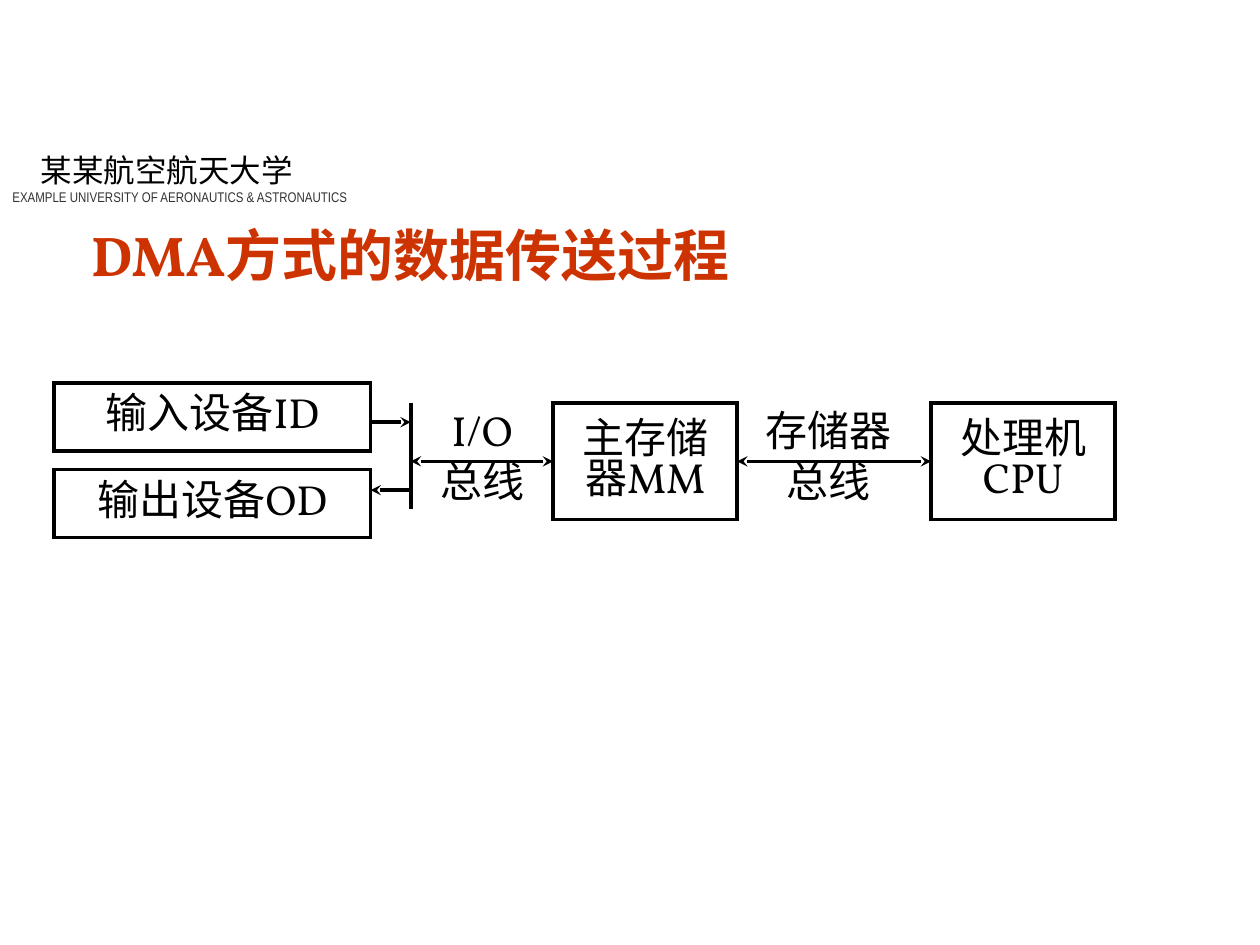
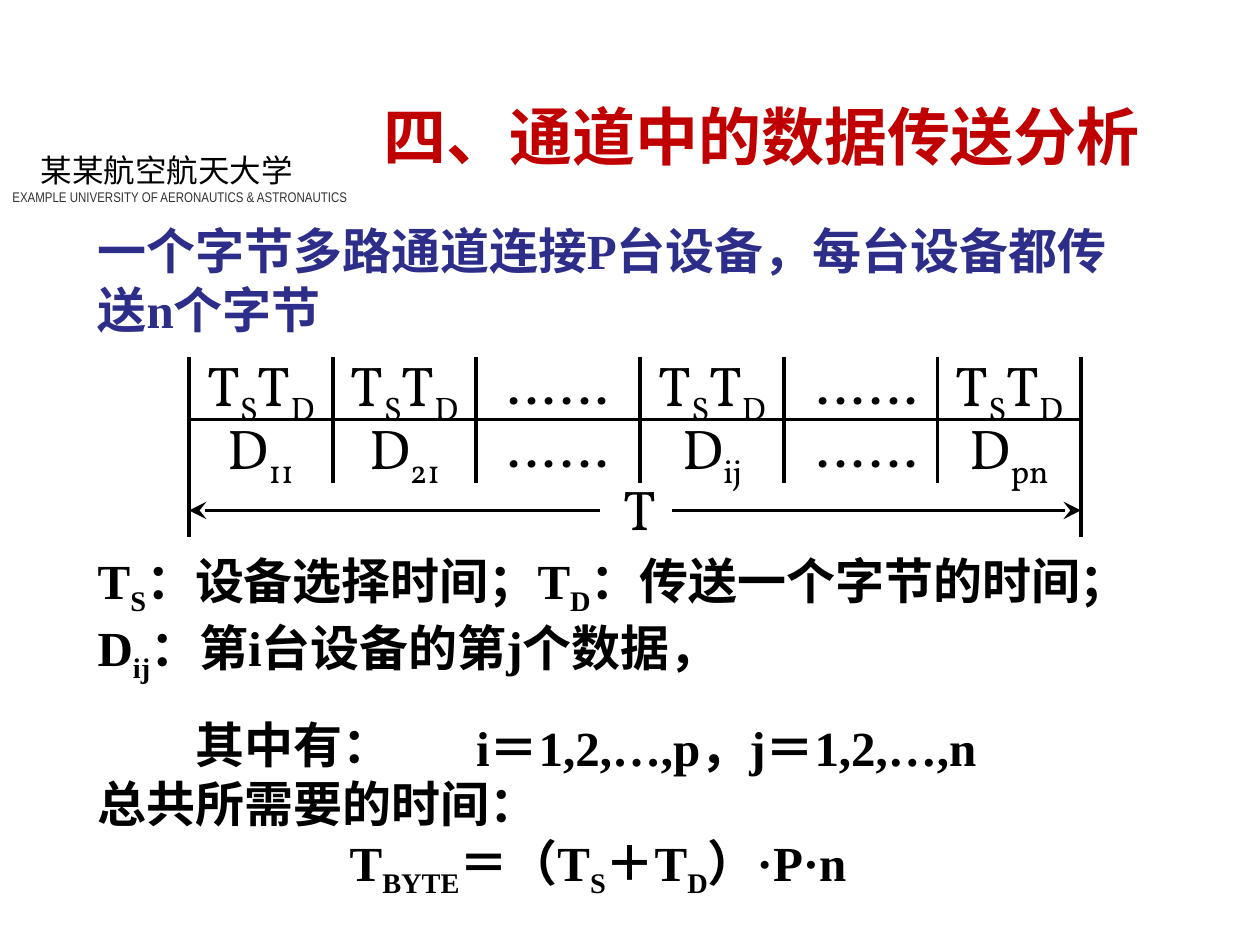
from lxml import etree
from pptx import Presentation
from pptx.dml.color import RGBColor
from pptx.enum.shapes import MSO_CONNECTOR, MSO_SHAPE
from pptx.enum.text import MSO_ANCHOR, PP_ALIGN
from pptx.oxml.ns import qn
from pptx.util import Cm, Pt

STRAIGHT = MSO_CONNECTOR.STRAIGHT
RECTANGLE = MSO_SHAPE.RECTANGLE
TOP, MIDDLE = MSO_ANCHOR.TOP, MSO_ANCHOR.MIDDLE
LEFT, CENTER = PP_ALIGN.LEFT, PP_ALIGN.CENTER
LEFT_SIDE, RIGHT_SIDE = 1, 3

COLORS = {
    "ink": "000000",
    "grey": "333333",
    "orange": "CC3300",
    "red": "C00000",
    "blue": "2D2D8A",
}
DIAGRAM_FONT = "Vollkorn"
BODY_FONT = "Times New Roman"


def write(paragraph, text, *, size, font=DIAGRAM_FONT, color="ink", bold=False,
          align=LEFT, line_spacing=None, space_before=0, margin=0, indent=0):
    """Fill a paragraph; parts between tildes are subscripts, \\v breaks a line."""
    paragraph.alignment = align
    paragraph.space_before = Pt(space_before)
    if line_spacing:
        paragraph.line_spacing = line_spacing
    properties = paragraph._p.get_or_add_pPr()
    properties.set("marL", str(Cm(margin)))
    properties.set("indent", str(Cm(indent)))
    for line_number, line in enumerate(text.split("\v")):
        if line_number:
            paragraph.add_line_break()
        for part_number, part in enumerate(line.split("~")):
            if not part:
                continue
            run = paragraph.add_run()
            run.text = part
            run.font.size = Pt(size)
            run.font.name = font
            run.font.bold = bold
            run.font.color.rgb = RGBColor.from_string(COLORS[color])
            if part_number % 2:
                run._r.get_or_add_rPr().set("baseline", "-25000")


class Deck:
    """Holds the shared style and the slide being built."""

    line_width = Pt(2)

    def __init__(self):
        self.presentation = Presentation()
        self.presentation.slide_width = Cm(25.4)
        self.presentation.slide_height = Cm(19.05)
        self.slide = None

    def new_slide(self):
        self.slide = self.presentation.slides.add_slide(self.presentation.slide_layouts[6])
        self.text(0, 2.92, 7.7, 1.7, [
            ("某某航空航天大学", dict(size=18, font="Arial", margin=0.57)),
            ("EXAMPLE UNIVERSITY OF AERONAUTICS & ASTRONAUTICS",
             dict(size=8, font="Arial Narrow", color="grey")),
        ])

    def fill_frame(self, shape, paragraphs, anchor, wrap, inset):
        frame = shape.text_frame
        frame.word_wrap = wrap
        frame.vertical_anchor = anchor
        frame.margin_left = frame.margin_right = Cm(inset)
        frame.margin_top = frame.margin_bottom = Cm(inset / 2)
        for number, (text, style) in enumerate(paragraphs):
            paragraph = frame.add_paragraph() if number else frame.paragraphs[0]
            write(paragraph, text, **style)

    def text(self, left, top, width, height, paragraphs, anchor=TOP, wrap=True, inset=0.25):
        shape = self.slide.shapes.add_textbox(Cm(left), Cm(top), Cm(width), Cm(height))
        self.fill_frame(shape, paragraphs, anchor, wrap, inset)

    def title(self, left, top, width, height, text, **style):
        self.text(left, top, width, height,
                  [(text, dict(bold=True, align=CENTER, **style))], anchor=MIDDLE)

    def label(self, left, top, width, height, text, **style):
        self.text(left, top, width, height, [(text, dict(align=CENTER, **style))],
                  anchor=MIDDLE, wrap=False, inset=0)

    def box(self, left, top, width, height, text):
        shape = self.slide.shapes.add_shape(RECTANGLE, Cm(left), Cm(top), Cm(width), Cm(height))
        shape.shadow.inherit = False
        shape.fill.background()
        shape.line.color.rgb = RGBColor.from_string(COLORS["ink"])
        shape.line.width = self.line_width
        etree.SubElement(shape.line._get_or_add_ln(), qn("a:miter"), lim="800000")
        style = dict(size=24, align=CENTER, line_spacing=0.8)
        self.fill_frame(shape, [(text, style)], MIDDLE, False, 0.2)
        return shape

    def line(self, start_x, start_y, end_x, end_y, head=False, tail=False, arrow="med"):
        connector = self.slide.shapes.add_connector(
            STRAIGHT, Cm(start_x), Cm(start_y), Cm(end_x), Cm(end_y))
        connector.line.color.rgb = RGBColor.from_string(COLORS["ink"])
        connector.line.width = self.line_width
        outline = connector.line._get_or_add_ln()
        for tag, wanted in (("a:headEnd", head), ("a:tailEnd", tail)):
            if wanted:
                etree.SubElement(outline, qn(tag), type="stealth", w=arrow, len=arrow)
        etree.SubElement(connector._element.spPr, qn("a:effectLst"))
        return connector


def build_dma_slide(deck):
    deck.new_slide()
    deck.title(-1.12, 3.86, 18.8, 2.54, "DMA方式的数据传送过程",
               size=32, font=DIAGRAM_FONT, color="orange")

    # Devices, memory and processor
    device_left, device_width = 1.09, 6.38
    for top, name in ((7.72, "输入设备ID"), (9.47, "输出设备OD")):
        deck.box(device_left, top, device_width, 1.37, name)
    unit_top, unit_width, unit_height = 8.13, 3.71, 2.34
    memory_left, processor_left = 11.15, 18.77
    processor = deck.box(processor_left, unit_top, unit_width, unit_height, "处理机\vCPU")
    memory = deck.box(memory_left, unit_top, unit_width, unit_height, "主存储\v器MM")

    # Buses
    device_right, bus_x = device_left + device_width, 8.28
    bus_y = unit_top + unit_height / 2
    deck.line(device_right, 8.51, bus_x, 8.51, tail=True)
    deck.line(bus_x, 9.88, device_right, 9.88, tail=True)
    deck.line(bus_x, 10.26, bus_x, unit_top)
    io_bus = deck.line(memory_left, bus_y, bus_x, bus_y, head=True, tail=True)
    io_bus.begin_connect(memory, LEFT_SIDE)
    memory_bus = deck.line(processor_left, bus_y, memory_left + unit_width, bus_y,
                           head=True, tail=True)
    memory_bus.begin_connect(processor, LEFT_SIDE)
    memory_bus.end_connect(memory, RIGHT_SIDE)
    for left, name in ((8.22, "I/O\v总线"), (15.2, "存储器\v总线")):
        deck.label(left, 7.92, 3, 2.51, name, size=24)


def build_channel_slide(deck):
    deck.new_slide()
    deck.title(5.49, 1.14, 19.71, 3.18, "四、通道中的数据传送分析",
               size=36, font="Arial", color="red")

    # Explanations above and below the time diagram
    body = dict(size=28, font=BODY_FONT, bold=True)
    deck.text(1.72, 4.32, 21.8, 2.6, [
        ("一个字节多路通道连接P台设备，每台设备都传送n个字节", dict(body, color="blue")),
    ])
    deck.text(1.72, 10.97, 20.9, 7.4, [
        ("T~S~：设备选择时间；T~D~：传送一个字节的时间；D~ij~：第i台设备的第j个数据，", body),
        ("其中有：", dict(body, space_before=17.5, indent=1.98)),
        ("总共所需要的时间：", body),
        ("T~BYTE~＝（T~S~＋T~D~）·P·n", dict(body, margin=5.08)),
    ])
    deck.text(9.35, 14.34, 13, 1.45, [("i＝1,2,…,p，j＝1,2,…,n", body)])

    # Time slots: divider, label left, upper and lower label
    times, dots = "T~S~T~D~", "……"
    slots = [
        (3.81, 4.01, times, "D~11~"),
        (6.71, 6.91, times, "D~21~"),
        (9.6, 10.01, dots, dots),
        (12.9, 13.11, times, "D~ij~"),
        (15.8, 16.23, dots, dots),
        (18.9, 19.1, times, "D~pn~"),
    ]
    start, end = slots[0][0], 21.79
    top, row, label_width = 7.19, 1.27, 2.49
    label_style = dict(size=32, line_spacing=0.8)
    deck.line(start, top + row, end, top + row)
    for number, (divider, left, upper, lower) in enumerate(slots):
        if number:
            deck.line(divider, top, divider, top + 2 * row)
        for row_number, text in enumerate((upper, lower)):
            deck.label(left, top + row_number * row, label_width, row, text, **label_style)

    # Total time
    for edge in (start, end):
        deck.line(edge, top, edge, 10.82)
    span_y = 10.29
    deck.line(start, span_y, 12.09, span_y, head=True, arrow="lg")
    deck.line(13.54, span_y, end, span_y, tail=True, arrow="lg")
    deck.label(11.66, top + 2 * row, label_width, row, "T", **label_style)


def main():
    deck = Deck()
    build_dma_slide(deck)
    build_channel_slide(deck)
    deck.presentation.save("out.pptx")


if __name__ == "__main__":
    main()
